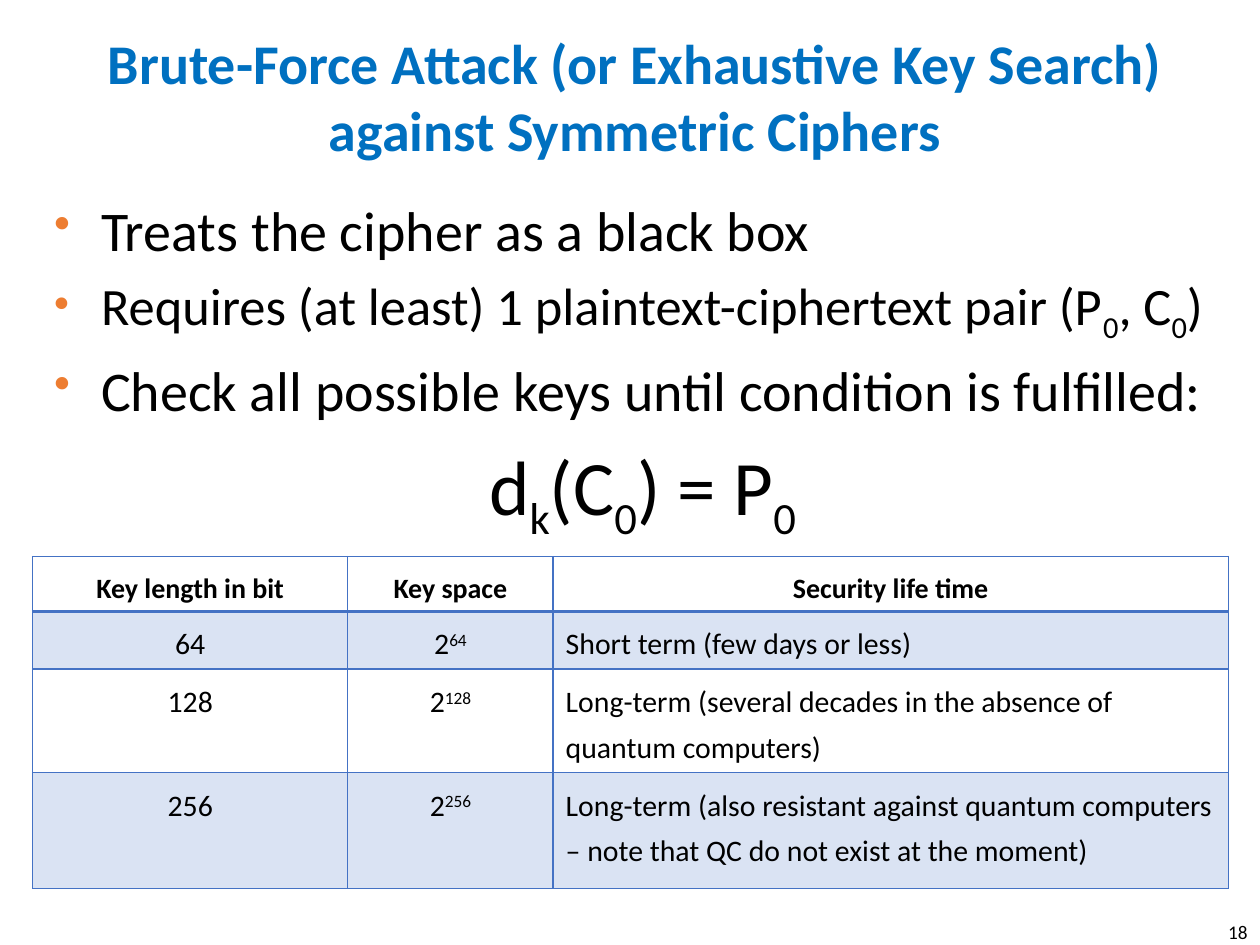
from dataclasses import dataclass

from lxml.etree import SubElement
from pptx import Presentation
from pptx.dml.color import RGBColor
from pptx.enum.text import MSO_ANCHOR as Anchor, PP_ALIGN as Align
from pptx.oxml.ns import qn
from pptx.util import Cm, Pt


@dataclass(frozen=True)
class Theme:
    font: str = "Calibri"
    title: str = "0070C0"
    text: str = "000000"
    bullet: str = "ED7D31"
    border: str = "4472C4"
    band: str = "DAE3F3"
    title_size: int = 32
    bullet_size: int = 32
    long_bullet_size: int = 30
    formula_size: int = 44
    header_size: int = 16
    cell_size: int = 17
    number_size: int = 11


THEME = Theme()
SUBSCRIPT, SUPERSCRIPT = -25000, 30000

BULLETS = [
    ("Treats the cipher as a black box", THEME.bullet_size),
    ("Requires (at least) 1 plaintext-ciphertext pair (P|0|, C|0|)", THEME.long_bullet_size),
    ("Check all possible keys until condition is fulfilled:", THEME.bullet_size),
]
FORMULA = "d|k|(C|0|) = P|0"

KEY_TABLE = [
    ("Key length in bit", "Key space", "Security life time"),
    ("64", "2|64", "Short term (few days or less)"),
    ("128", "2|128", "Long-term (several decades in the absence of quantum computers)"),
    ("256", "2|256", "Long-term (also resistant against quantum computers "
                     "– note that QC do not exist at the moment)"),
]
COLUMN_WIDTHS = [6.35, 4.14, 13.61]
ROW_HEIGHTS = [1.1, 1.17, 2.08, 2.34]


def write(paragraph, text, size, color=THEME.text, bold=False, align=Align.LEFT, shift=SUBSCRIPT):
    for index, part in enumerate(text.split("|")):
        run = paragraph.add_run()
        run.text = part
        if index % 2:
            run._r.get_or_add_rPr().set("baseline", str(shift))
    paragraph.alignment = align
    font = paragraph.font
    font.name, font.size, font.bold = THEME.font, Pt(size), bold
    font.color.rgb = RGBColor.from_string(color)


def add_text_frame(slide, left, top, width, height, anchor=Anchor.TOP):
    frame = slide.shapes.add_textbox(Cm(left), Cm(top), Cm(width), Cm(height)).text_frame
    frame.word_wrap = True
    frame.vertical_anchor = anchor
    return frame


def add_bullet(paragraph):
    properties = paragraph._p.get_or_add_pPr()
    properties.set("marL", str(Cm(0.95)))
    properties.set("indent", str(Cm(-0.95)))
    color = SubElement(properties, qn("a:buClr"))
    SubElement(color, qn("a:srgbClr"), val=THEME.bullet)
    SubElement(properties, qn("a:buSzPct"), val="85000")
    SubElement(properties, qn("a:buChar"), char="•")


def add_body(slide):
    frame = add_text_frame(slide, 0.84, 3.81, 23.93, 6.15)
    for index, (text, size) in enumerate(BULLETS):
        paragraph = frame.add_paragraph() if index else frame.paragraphs[0]
        add_bullet(paragraph)
        if index:
            paragraph.space_before = Pt(0.2 * size)
        write(paragraph, text, size)
    formula = frame.add_paragraph()
    formula._p.get_or_add_pPr().set("marL", str(Cm(0.3)))
    formula.space_before = Pt(0.2 * THEME.formula_size)
    write(formula, FORMULA, THEME.formula_size, align=Align.CENTER)


def set_borders(cell, row):
    widths = {"L": 1, "R": 1, "T": 2 if row == 1 else 1, "B": 2 if row == 0 else 1}
    for side, width in widths.items():
        line = SubElement(cell._tc.get_or_add_tcPr(), qn(f"a:ln{side}"), w=str(Pt(width)))
        fill = SubElement(line, qn("a:solidFill"))
        SubElement(fill, qn("a:srgbClr"), val=THEME.border)


def fill_cell(cell, text, row, column):
    set_borders(cell, row)
    if row % 2:
        cell.fill.solid()
        cell.fill.fore_color.rgb = RGBColor.from_string(THEME.band)
    else:
        cell.fill.background()
    header = row == 0
    paragraph = cell.text_frame.paragraphs[0]
    paragraph.line_spacing = 1.25
    write(paragraph, text, THEME.header_size if header else THEME.cell_size, bold=header,
          align=Align.CENTER if header or column < 2 else Align.LEFT, shift=SUPERSCRIPT)


def add_key_table(slide):
    table = slide.shapes.add_table(
        len(ROW_HEIGHTS), len(COLUMN_WIDTHS), Cm(0.66), Cm(11.22),
        Cm(sum(COLUMN_WIDTHS)), Cm(sum(ROW_HEIGHTS))).table
    table.first_row = table.horz_banding = False
    for column, width in zip(table.columns, COLUMN_WIDTHS):
        column.width = Cm(width)
    for row, height in zip(table.rows, ROW_HEIGHTS):
        row.height = Cm(height)
    for row, texts in enumerate(KEY_TABLE):
        for column, text in enumerate(texts):
            fill_cell(table.cell(row, column), text, row, column)


def main():
    deck = Presentation()
    deck.slide_width, deck.slide_height = Cm(25.4), Cm(19.05)
    slide = deck.slides.add_slide(deck.slide_layouts[6])
    title = add_text_frame(slide, 0.64, 0.05, 24.33, 3.76, Anchor.MIDDLE)
    write(title.paragraphs[0], "Brute-Force Attack (or Exhaustive Key Search) against Symmetric Ciphers",
          THEME.title_size, THEME.title, bold=True, align=Align.CENTER)
    add_body(slide)
    add_key_table(slide)
    page_number = add_text_frame(slide, 24.33, 18.42, 1.07, 0.61)
    write(page_number.paragraphs[0], "18", THEME.number_size, align=Align.RIGHT)
    deck.save("out.pptx")


if __name__ == "__main__":
    main()
